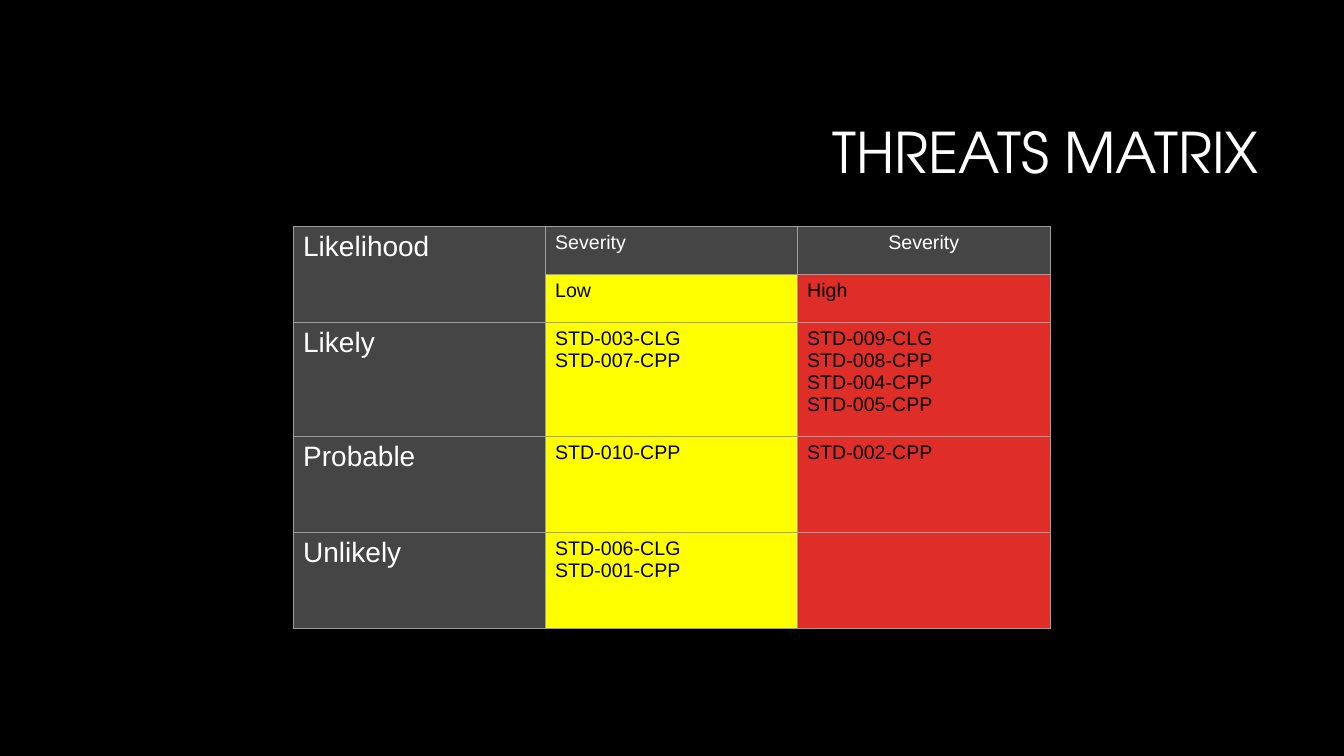
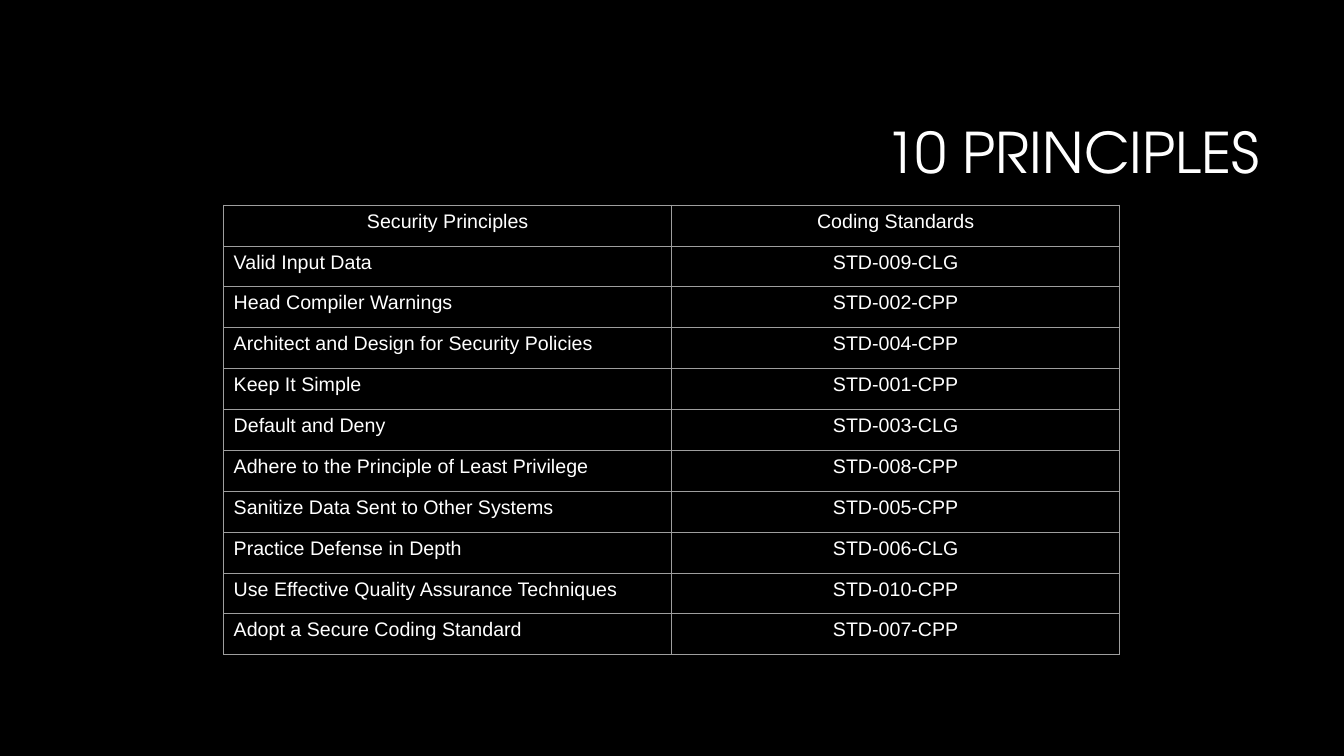
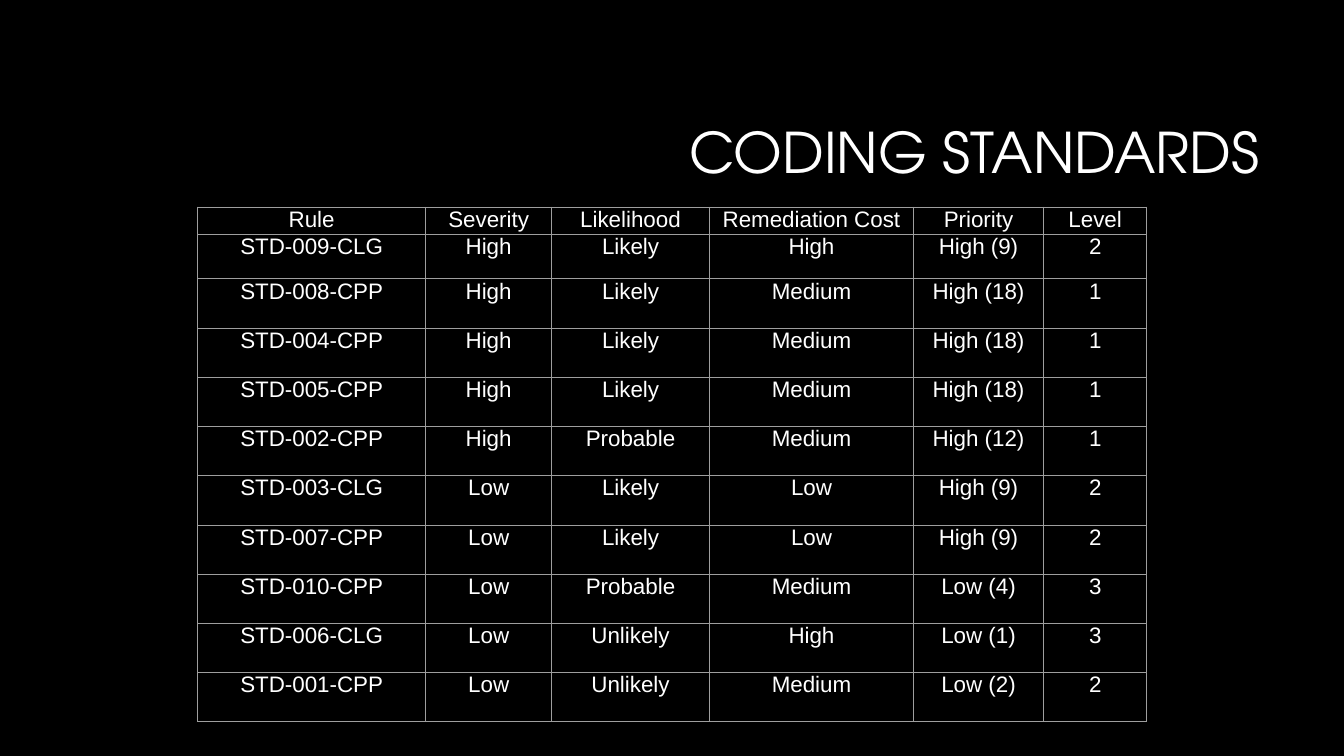
import pptx
import pptx.dml.color
import pptx.enum.text
import pptx.oxml
import pptx.oxml.ns
import pptx.util

Cm, Pt = pptx.util.Cm, pptx.util.Pt
ALIGN = pptx.enum.text.PP_ALIGN
SIDES = {"L": ALIGN.LEFT, "C": ALIGN.CENTER, "R": ALIGN.RIGHT}
HUES = {
    "black": "000000", "white": "FFFFFF", "gray": "454545",
    "yellow": "FFFF00", "red": "DF2E28", "line": "9E9E9E",
}
INK = {"yellow": "black", "red": "black"}


def color(name):
    return pptx.dml.color.RGBColor.from_string(HUES[name])


def write(frame, text, side, hue, **form):
    """Fill a text frame, one paragraph per line, and format every run."""
    frame.text = text
    for para in frame.paragraphs:
        para.alignment = SIDES[side]
        for run in para.runs:
            run.font.color.rgb = color(hue)
            for key, value in form.items():
                setattr(run.font, key, value)


# In each table, "head" and "body" give one alignment letter per column.
tables = [
    {
        "title": "THREATS MATRIX",
        "left": 7.39, "top": 5.7,
        "cols": [6.35, 6.35, 6.38],
        "rows": [1.21, 1.21, 2.87, 2.42, 2.42],
        "head": "LLC", "body": "LLL",
        "sizes": [20, 14, 14],
        "fills": ["gray", "yellow", "red"], "top_fill": "gray",
        "merge": [(0, 0, 1, 0)],
        "pads": (0.25, 0.13),
        "cells": [
            ["Likelihood", "Severity", "Severity"],
            ["", "Low", "High"],
            ["Likely", "STD-003-CLG\nSTD-007-CPP",
             "STD-009-CLG\nSTD-008-CPP\nSTD-004-CPP\nSTD-005-CPP"],
            ["Probable", "STD-010-CPP", "STD-002-CPP"],
            ["Unlikely", "STD-006-CLG\nSTD-001-CPP", ""],
        ],
    },
    {
        "title": "10 PRINCIPLES",
        "left": 5.64, "top": 5.17,
        "cols": [11.29] * 2,
        "rows": [1.03] * 11,
        "head": "CC", "body": "LC",
        "sizes": [14] * 2,
        "fills": [None] * 2, "top_fill": None,
        "merge": [],
        "pads": (0.25, 0.13),
        "cells": [
            ["Security Principles", "Coding Standards"],
            ["Valid Input Data", "STD-009-CLG"],
            ["Head Compiler Warnings", "STD-002-CPP"],
            ["Architect and Design for Security Policies", "STD-004-CPP"],
            ["Keep It Simple", "STD-001-CPP"],
            ["Default and Deny", "STD-003-CLG"],
            ["Adhere to the Principle of Least Privilege", "STD-008-CPP"],
            ["Sanitize Data Sent to Other Systems", "STD-005-CPP"],
            ["Practice Defense in Depth", "STD-006-CLG"],
            ["Use Effective Quality Assurance Techniques", "STD-010-CPP"],
            ["Adopt a Secure Coding Standard", "STD-007-CPP"],
        ],
    },
    {
        "title": "CODING STANDARDS",
        "left": 4.98, "top": 5.22,
        "cols": [5.75, 3.17, 3.98, 5.14, 3.28, 2.6],
        "rows": [0.68, 1.13] + [1.24] * 9,
        "head": "CCCCCC", "body": "CCCCCC",
        "sizes": [16] * 6,
        "fills": [None] * 6, "top_fill": None,
        "merge": [],
        "pads": (0.18, 0),
        "cells": [
            ["Rule", "Severity", "Likelihood", "Remediation Cost", "Priority", "Level"],
            ["STD-009-CLG", "High", "Likely", "High", "High (9)", "2"],
            ["STD-008-CPP", "High", "Likely", "Medium", "High (18)", "1"],
            ["STD-004-CPP", "High", "Likely", "Medium", "High (18)", "1"],
            ["STD-005-CPP", "High", "Likely", "Medium", "High (18)", "1"],
            ["STD-002-CPP", "High", "Probable", "Medium", "High (12)", "1"],
            ["STD-003-CLG", "Low", "Likely", "Low", "High (9)", "2"],
            ["STD-007-CPP", "Low", "Likely", "Low", "High (9)", "2"],
            ["STD-010-CPP", "Low", "Probable", "Medium", "Low (4)", "3"],
            ["STD-006-CLG", "Low", "Unlikely", "High", "Low (1)", "3"],
            ["STD-001-CPP", "Low", "Unlikely", "Medium", "Low (2)", "2"],
        ],
    },
]

deck = pptx.Presentation()
deck.slide_width, deck.slide_height = Cm(33.87), Cm(19.05)
back = deck.slide_master.background.fill
back.solid()
back.fore_color.rgb = color("black")

for plan in tables:
    slide = deck.slides.add_slide(deck.slide_layouts[6])

    title = slide.shapes.add_textbox(Cm(8.05), Cm(2.13), Cm(23.93), Cm(3.58)).text_frame
    title.word_wrap = True
    title.vertical_anchor = pptx.enum.text.MSO_ANCHOR.MIDDLE
    write(title, plan["title"], "R", "white", name="TeX Gyre Adventor", size=Pt(40))
    title.paragraphs[0].line_spacing = 0.9

    cols, rows = plan["cols"], plan["rows"]
    grid = slide.shapes.add_table(
        len(rows), len(cols), Cm(plan["left"]), Cm(plan["top"]),
        Cm(sum(cols)), Cm(sum(rows))).table
    grid.first_row = grid.horz_banding = False
    for col, width in zip(grid.columns, cols):
        col.width = Cm(width)
    for row, height in zip(grid.rows, rows):
        row.height = Cm(height)
    for top, left, end, right in plan["merge"]:
        grid.cell(top, left).merge(grid.cell(end, right))

    pad_x, pad_y = map(Cm, plan["pads"])
    pads = {"margin_left": pad_x, "margin_right": pad_x,
            "margin_top": pad_y, "margin_bottom": pad_y}
    for r, texts in enumerate(plan["cells"]):
        for c, text in enumerate(texts):
            cell = grid.cell(r, c)
            if cell.is_spanned:
                continue
            for key, value in pads.items():
                setattr(cell, key, value)
            props = cell._tc.get_or_add_tcPr()
            for edge in "LRTB":
                props.append(pptx.oxml.parse_xml(
                    f'<a:ln{edge} {pptx.oxml.ns.nsdecls("a")} w="{Pt(0.75)}"><a:solidFill>'
                    f'<a:srgbClr val="{HUES["line"]}"/></a:solidFill></a:ln{edge}>'))
            fill = plan["fills"][c] if r else plan["top_fill"]
            if fill:
                cell.fill.solid()
                cell.fill.fore_color.rgb = color(fill)
            else:
                cell.fill.background()
            side = plan["body" if r else "head"][c]
            write(cell.text_frame, text, side, INK.get(fill, "white"),
                  name="Arial", size=Pt(plan["sizes"][c]))

deck.save("out.pptx")
